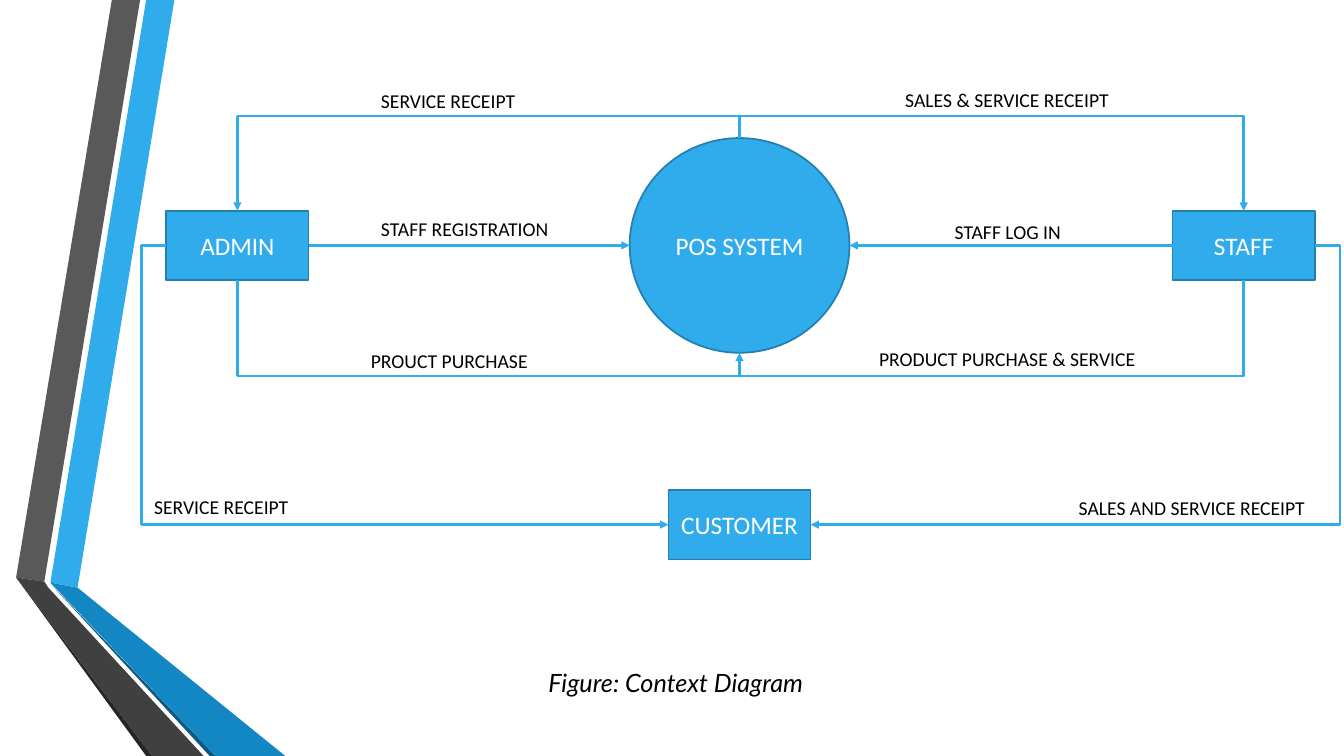
from lxml import etree
from pptx import Presentation
from pptx.dml.color import RGBColor
from pptx.enum import shapes, text
from pptx.oxml import ns
from pptx.util import Inches, Pt

COLOURS = {
    "blue": "30ACEC", "outline": "247FAF", "deep_blue": "1287C3", "navy": "0C5A82",
    "grey": "595959", "dark_grey": "404040", "charcoal": "262626",
    "white": "FFFFFF", "black": "000000",
}
NODE_WIDTH, NODE_HEIGHT = 1.41, 0.69

# Ribbon facets from back to front: colour and corner points
RIBBON_FACETS = [
    ("blue", [(0.5, 5.78), (0.77, 5.83), (1.73, 0), (1.45, 0)]),
    ("grey", [(1.39, 0), (1.11, 0), (0.16, 5.73), (0.44, 5.77)]),
    ("charcoal", [(0.16, 5.73), (1.45, 7.5), (1.51, 7.5)]),
    ("navy", [(0.5, 5.79), (2.08, 7.5), (2.14, 7.5)]),
    ("deep_blue", [(0.5, 5.78), (2.14, 7.5), (2.83, 7.5), (0.77, 5.83)]),
    ("dark_grey", [(2.02, 7.5), (0.48, 5.83), (0.44, 5.77), (0.16, 5.73), (1.51, 7.5)]),
]

# Flow labels: wording, then left, top and width within the diagram
FLOW_LABELS = [
    ("SERVICE RECEIPT", 2.28, 0.01, 1.86),
    ("SALES & SERVICE RECEIPT", 7.48, 0, 2.55),
    ("STAFF REGISTRATION", 2.28, 1.28, 2.19),
    ("STAFF LOG IN", 7.97, 1.31, 1.41),
    ("PROUCT PURCHASE", 2.18, 2.59, 1.99),
    ("PRODUCT PURCHASE & SERVICE", 7.22, 2.57, 3.01),
    ("SERVICE RECEIPT", 0.03, 4.04, 1.75),
    ("SALES AND SERVICE RECEIPT", 9.2, 4.05, 2.7),
]


def colour(name):
    """Return the named colour."""
    return RGBColor.from_string(COLOURS[name])


def write(shape, wording, size, colour_name, font="Calibri", italic=False):
    """Put one formatted line of text in a shape."""
    paragraph = shape.text_frame.paragraphs[0]
    paragraph.text = wording
    run_font = paragraph.runs[0].font
    run_font.name, run_font.size, run_font.italic = font, Pt(size), italic
    run_font.color.rgb = colour(colour_name)
    return paragraph


def add_node(slide, kind, wording, left, top, width=NODE_WIDTH, height=NODE_HEIGHT):
    """Add a filled shape with centred white text."""
    shape = slide.shapes.add_shape(
        kind, Inches(left), Inches(top), Inches(width), Inches(height))
    shape.shadow.inherit = False
    shape.fill.solid()
    shape.fill.fore_color.rgb = colour("blue")
    shape.line.color.rgb = colour("outline")
    shape.line.width = Pt(1.25)
    frame = shape.text_frame
    frame.word_wrap = True
    frame.vertical_anchor = text.MSO_ANCHOR.MIDDLE
    frame.margin_left = frame.margin_right = Inches(0.05)
    write(shape, wording, 18, "white").alignment = text.PP_ALIGN.CENTER


def add_label(slide, wording, left, top, width):
    """Add a small black flow label."""
    box = slide.shapes.add_textbox(
        Inches(left), Inches(top), Inches(width), Inches(0.34))
    box.text_frame.word_wrap = True
    write(box, wording, 14, "black")


def add_flow(slide, start, end, arrow=True, preset=None, bend=None):
    """Add a straight or bent connector; bend is the elbow offset in 1/100000."""
    kind = shapes.MSO_CONNECTOR.ELBOW if preset else shapes.MSO_CONNECTOR.STRAIGHT
    connector = slide.shapes.add_connector(kind, *map(Inches, start + end))
    connector.line.color.rgb = colour("blue")
    connector.line.width = Pt(1.75)
    properties = connector._element.spPr
    if arrow:
        etree.SubElement(connector.line._get_or_add_ln(), ns.qn("a:tailEnd"), type="triangle")
    etree.SubElement(properties, ns.qn("a:effectLst"))
    if preset:
        geometry = properties.find(ns.qn("a:prstGeom"))
        geometry.set("prst", preset)
        if bend is not None:
            adjustments = geometry.find(ns.qn("a:avLst"))
            if adjustments is None:
                adjustments = etree.SubElement(geometry, ns.qn("a:avLst"))
            etree.SubElement(adjustments, ns.qn("a:gd"), name="adj1", fmla=f"val {bend}")


def add_ribbon(slide, left, top):
    """Draw the folded ribbon down the left edge."""
    for colour_name, points in RIBBON_FACETS:
        corners = [(Inches(left + x), Inches(top + y)) for x, y in points]
        builder = slide.shapes.build_freeform(*corners[0])
        builder.add_line_segments(corners[1:], close=True)
        facet = builder.convert_to_shape()
        facet.shadow.inherit = False
        facet.fill.solid()
        facet.fill.fore_color.rgb = colour(colour_name)
        facet.line.fill.background()


def add_context_diagram(slide, left, top):
    """Draw the entities, the system and the flows between them."""
    admin_left, staff_left, customer_left = left + 0.25, left + 10.23, left + 5.23
    admin_right, staff_right = admin_left + NODE_WIDTH, staff_left + NODE_WIDTH
    admin_x, staff_x = admin_left + NODE_WIDTH / 2, staff_left + NODE_WIDTH / 2
    system_x = customer_left + NODE_WIDTH / 2
    system_width, system_height = 2.18, 2.13
    system_top = top + 0.55
    system_bottom = system_top + system_height
    system_left = system_x - system_width / 2
    entity_top, customer_top = top + 1.27, top + 4.04
    entity_y, customer_y = entity_top + NODE_HEIGHT / 2, customer_top + NODE_HEIGHT / 2
    entity_bottom = entity_top + NODE_HEIGHT
    receipt_y, purchase_y = top + 0.33, top + 2.91

    rectangle = shapes.MSO_SHAPE.RECTANGLE
    add_node(slide, rectangle, "ADMIN", admin_left, entity_top)
    add_node(slide, shapes.MSO_SHAPE.OVAL, "POS SYSTEM", system_left, system_top,
             system_width, system_height)
    add_node(slide, rectangle, "STAFF", staff_left, entity_top)
    add_node(slide, rectangle, "CUSTOMER", customer_left, customer_top)

    # Registration and log in
    add_flow(slide, (admin_right, entity_y), (system_left, entity_y))
    add_flow(slide, (staff_left, entity_y), (system_left + system_width, entity_y))
    # Receipts from the system
    add_flow(slide, (system_x, receipt_y), (system_x, system_top), arrow=False)
    add_flow(slide, (admin_x, receipt_y), (admin_x, entity_top))
    add_flow(slide, (admin_x, receipt_y), (staff_x, entity_top), preset="bentConnector2")
    # Purchases into the system
    add_flow(slide, (admin_x, entity_bottom), (admin_x, purchase_y), arrow=False)
    add_flow(slide, (admin_x, purchase_y), (staff_x, entity_bottom), arrow=False,
             preset="bentConnector2")
    add_flow(slide, (system_x, purchase_y), (system_x, system_bottom))
    # Receipts to the customer
    for start_x, end_x in [(admin_left, customer_left),
                           (staff_right, customer_left + NODE_WIDTH)]:
        add_flow(slide, (start_x, entity_y), (end_x, customer_y),
                 preset="bentConnector3", bend=-5000)

    for wording, x, y, width in FLOW_LABELS:
        add_label(slide, wording, left + x, top + y, width)


def add_caption(slide, left, top, width, height):
    """Add the italic figure caption."""
    box = slide.shapes.add_textbox(*map(Inches, (left, top, width, height)))
    box.text_frame.word_wrap = False
    write(box, "Figure: Context Diagram", 18, "black", font="Lato", italic=True)


presentation = Presentation()
presentation.slide_width, presentation.slide_height = Inches(13.33), Inches(7.5)
slide = presentation.slides.add_slide(presentation.slide_layouts[6])
add_ribbon(slide, 0, 0)
add_context_diagram(slide, 1.4, 0.82)
add_caption(slide, 5.34, 6.57, 3.17, 0.4)
presentation.save("out.pptx")
